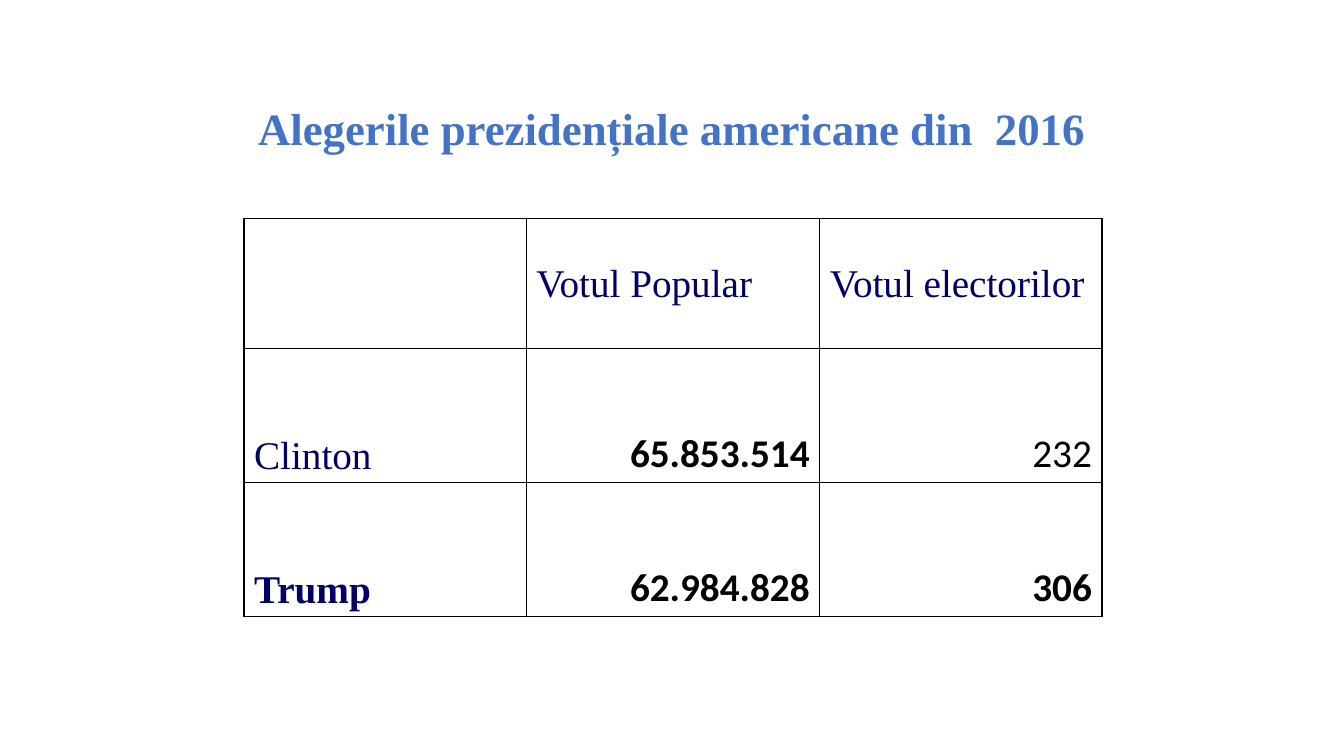
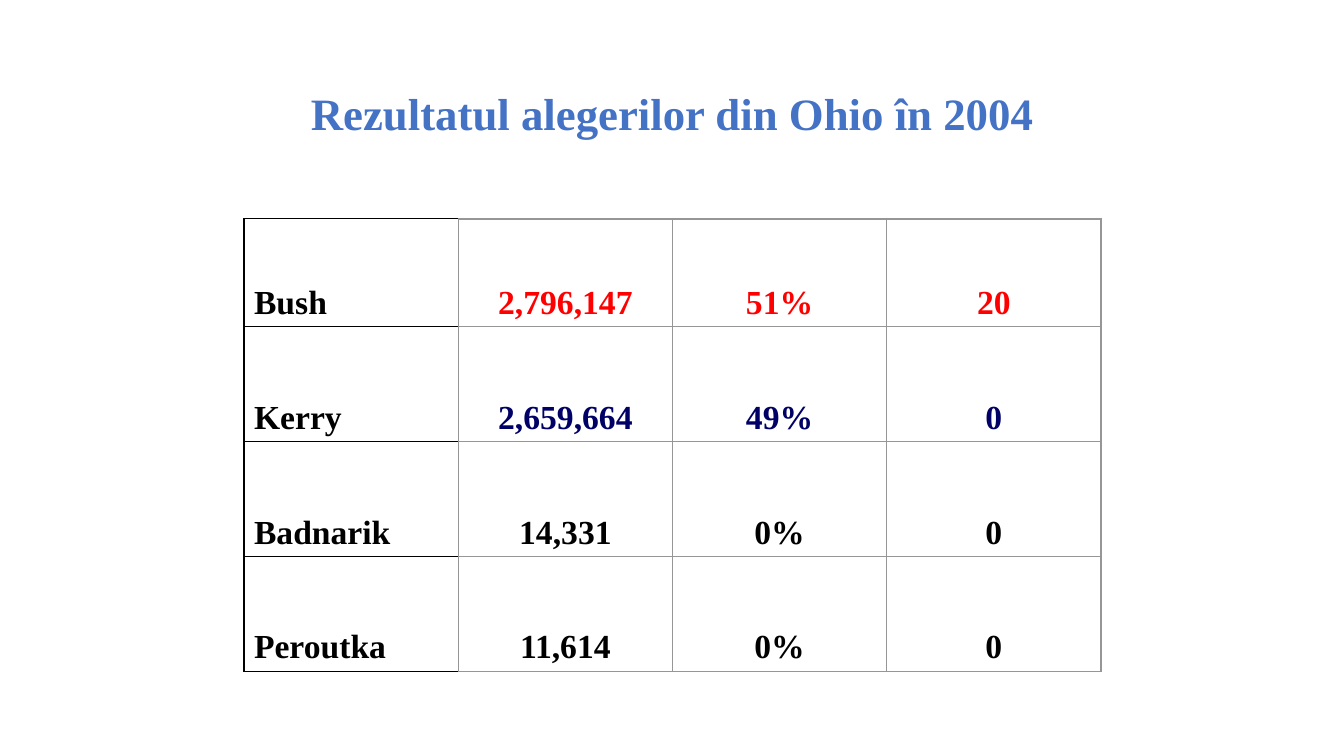
from dataclasses import dataclass

from lxml import etree
from pptx import Presentation
from pptx.dml.color import RGBColor
from pptx.enum.text import MSO_ANCHOR, PP_ALIGN
from pptx.oxml.ns import qn
from pptx.util import Inches, Pt

LEFT, CENTER, RIGHT = PP_ALIGN.LEFT, PP_ALIGN.CENTER, PP_ALIGN.RIGHT
MIDDLE, BOTTOM = MSO_ANCHOR.MIDDLE, MSO_ANCHOR.BOTTOM

SERIF, SANS = "Times New Roman", "Calibri"
BLUE, NAVY, RED = "4472C4", "000066", "FF0000"
BLACK, GRAY, WHITE = "000000", "969696", "FFFFFF"
TABLE_LEFT, TABLE_TOP, TABLE_WIDTH = 2.42, 2.17, 8.5


def rgb(value):
    return RGBColor.from_string(value)


@dataclass
class Cell:
    text: str = ""
    color: str = BLACK
    bold: bool = True
    align: PP_ALIGN = LEFT
    anchor: MSO_ANCHOR = BOTTOM
    font: str = SERIF


class Deck:
    def __init__(self):
        self.presentation = Presentation()
        self.presentation.slide_width = Inches(13.33)
        self.presentation.slide_height = Inches(7.5)
        self.slide = None

    def add_slide(self):
        self.slide = self.presentation.slides.add_slide(self.presentation.slide_layouts[6])

    def set_text(self, paragraph, text, size, color, bold, align, font):
        paragraph.text = text
        paragraph.alignment = align
        paragraph.font.size = Pt(size)
        paragraph.font.bold = bold
        paragraph.font.name = font
        paragraph.font.color.rgb = rgb(color)

    def title(self, text, left, width, height):
        box = self.slide.shapes.add_textbox(
            Inches(left), Inches(0.67), Inches(width), Inches(height))
        frame = box.text_frame
        frame.word_wrap = True
        frame.vertical_anchor = MIDDLE
        frame.paragraphs[0].line_spacing = 0.9
        self.set_text(frame.paragraphs[0], text, 32, BLUE, True, CENTER, SERIF)

    def borders(self, cell, sides):
        """Draw cell borders; sides maps L, R, T, B, in that order, to (colour, points)."""
        properties = cell._tc.get_or_add_tcPr()
        for position, (side, (color, points)) in enumerate(sides.items()):
            line = etree.Element(qn(f"a:ln{side}"), w=str(Pt(points)))
            fill = etree.SubElement(line, qn("a:solidFill"))
            etree.SubElement(fill, qn("a:srgbClr"), val=color)
            properties.insert(position, line)

    def table(self, rows, widths, heights, size, border_rule):
        """Build a table; border_rule(row, column) gives the borders of a cell."""
        table = self.slide.shapes.add_table(
            len(rows), len(widths), Inches(TABLE_LEFT), Inches(TABLE_TOP),
            Inches(TABLE_WIDTH), Inches(sum(heights))).table
        table.first_row = table.horz_banding = False
        for column, width in zip(table.columns, widths):
            column.width = Inches(width)
        for row, height in zip(table.rows, heights):
            row.height = Inches(height)
        for r, row in enumerate(rows):
            for c, content in enumerate(row):
                cell = table.cell(r, c)
                cell.fill.solid()
                cell.fill.fore_color.rgb = rgb(WHITE)
                cell.vertical_anchor = content.anchor
                self.set_text(cell.text_frame.paragraphs[0], content.text, size,
                              content.color, content.bold, content.align, content.font)
                self.borders(cell, border_rule(r, c))


def black_grid(row, column):
    return dict.fromkeys("LRTB", (BLACK, 1))


def gray_grid(row, column):
    """Gray lines, heavier on top, with a black frame around the names."""
    if column == 0:
        return {**dict.fromkeys("LRTB", (BLACK, 1)), "R": (GRAY, 1)}
    return {**dict.fromkeys("LRTB", (GRAY, 1)), "T": (GRAY, 2 if row == 0 else 1)}


def heading(text):
    return Cell(text, NAVY, False, anchor=MIDDLE)


def votes(text, bold=True):
    return Cell(text, bold=bold, align=RIGHT, font=SANS)


def national_result(deck):
    deck.add_slide()
    deck.title("Alegerile prezidențiale americane din  2016", 1, 11.33, 1.25)
    rows = [
        [heading(""), heading("Votul Popular"), heading("Votul electorilor")],
        [Cell("Clinton", NAVY, False), votes("65.853.514"), votes("232", False)],
        [Cell("Trump", NAVY), votes("62.984.828"), votes("306")],
    ]
    deck.table(rows, [2.8, 2.91, 2.8], [1.29, 1.33, 1.33], 28, black_grid)


def ohio_result(deck):
    deck.add_slide()
    deck.title("Rezultatul alegerilor din Ohio în 2004", TABLE_LEFT, TABLE_WIDTH, 0.96)
    results = [
        ("Bush", RED, "2,796,147", "51%", "20"),
        ("Kerry", NAVY, "2,659,664", "49%", "0"),
        ("Badnarik", BLACK, "14,331", "0%", "0"),
        ("Peroutka", BLACK, "11,614", "0%", "0"),
    ]
    rows = [[Cell(name)] + [Cell(figure, color, align=CENTER) for figure in figures]
            for name, color, *figures in results]
    deck.table(rows, [TABLE_WIDTH / 4] * 4, [1.07] + [1.14] * 3, 24, gray_grid)


def main():
    deck = Deck()
    national_result(deck)
    ohio_result(deck)
    deck.presentation.save("out.pptx")


if __name__ == "__main__":
    main()
